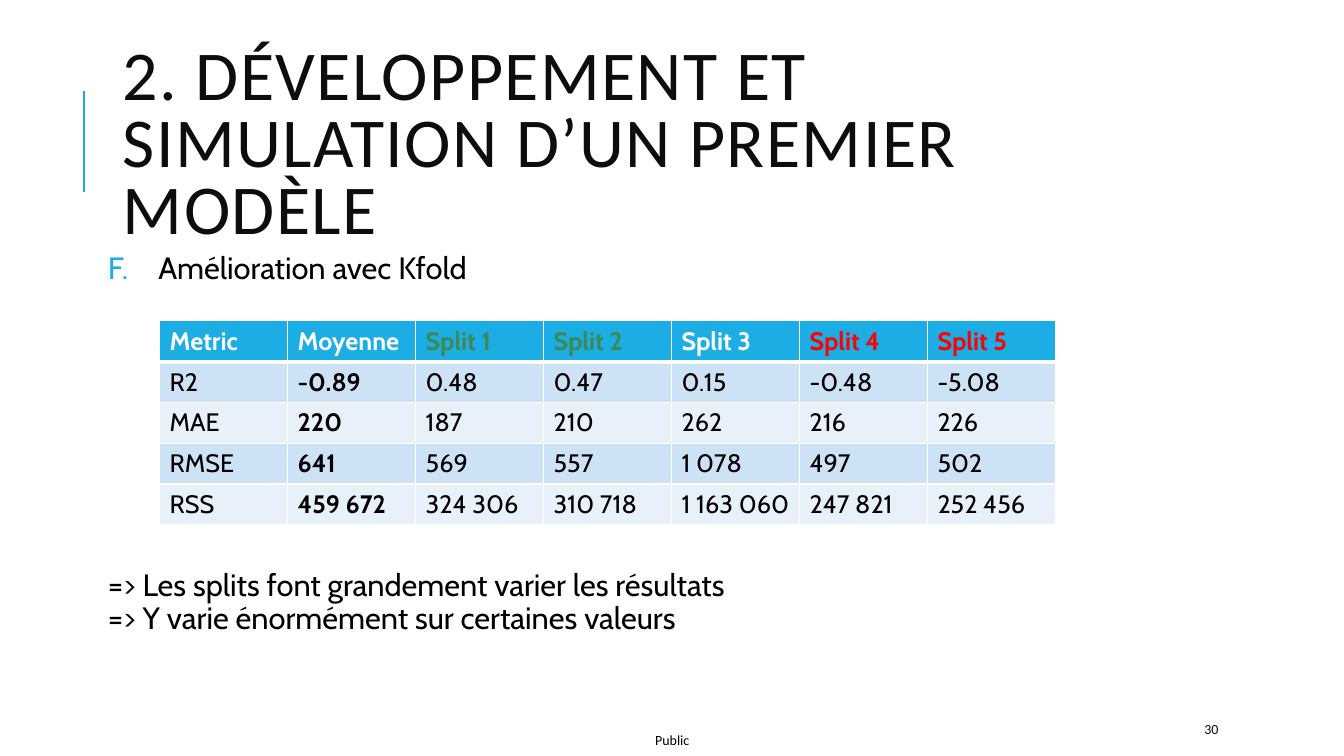
from dataclasses import dataclass

from lxml import etree
from pptx import Presentation
from pptx.dml.color import RGBColor
from pptx.enum.shapes import MSO_CONNECTOR
from pptx.enum.text import MSO_ANCHOR
from pptx.oxml.ns import qn
from pptx.util import Inches, Pt

STRAIGHT = MSO_CONNECTOR.STRAIGHT
TOP, MIDDLE = MSO_ANCHOR.TOP, MSO_ANCHOR.MIDDLE

SLIDE_WIDTH, SLIDE_HEIGHT = Inches(13.33), Inches(7.5)
GRID_COLUMNS, GRID_ROWS = 160, 90

COLORS = {
    "accent": "1CADE4",
    "ink": "0D0D0D",
    "black": "000000",
    "white": "FFFFFF",
    "good": "3E8853",
    "bad": "FF0000",
    "band_dark": "CDE3F5",
    "band_light": "E8F1FA",
}

HEADERS = [
    ("Metric", "white"), ("Moyenne", "white"), ("Split 1", "good"),
    ("Split 2", "good"), ("Split 3", "white"), ("Split 4", "bad"),
    ("Split 5", "bad"),
]
METRICS = [
    ["R2", "-0.89", "0.48", "0.47", "0.15", "-0.48", "-5.08"],
    ["MAE", "220", "187", "210", "262", "216", "226"],
    ["RMSE", "641", "569", "557", "1 078", "497", "502"],
    ["RSS", "459 672", "324 306", "310 718", "1 163 060", "247 821", "252 456"],
]
MEAN_COLUMN = 1
TABLE_LEFT, TABLE_TOP = 19, 38.2
CELL_COLUMNS, CELL_ROWS = 15.24, 4.86


@dataclass
class TextBlock:
    """Text placed by grid column and row."""
    text: str
    column: float
    row: float
    columns: float
    rows: float
    size: float
    font: str = "Calibri"
    color: str = "black"
    side_inset: float = 0.1
    end_inset: float = 0.05
    line_spacing: float = 1.0
    letter_spacing: int = 0
    anchor: MSO_ANCHOR = TOP
    wrap: bool = True
    lettered_from: int = 0


BODY = {"column": 12.24, "columns": 127.56, "size": 22, "font": "Cabin",
        "side_inset": 0.05, "line_spacing": 0.9}
TEXT_BLOCKS = [
    TextBlock("Public", 78, 87.12, 4.44, 2.04, 10, side_inset=0, end_inset=0,
              wrap=False),
    TextBlock("2. DÉVELOPPEMENT ET SIMULATION D’UN PREMIER MODÈLE",
              13.44, 7.68, 127.56, 19.68, 50, color="ink", line_spacing=0.8,
              letter_spacing=100, anchor=MIDDLE),
    TextBlock("Amélioration avec Kfold", row=29.52, rows=5, lettered_from=6, **BODY),
    TextBlock("=> Les splits font grandement varier les résultats\v"
              "=> Y varie énormément sur certaines valeurs",
              row=67.2, rows=10, **BODY),
    TextBlock("30", 142.2, 84.96, 12.72, 3.6, 10, color="ink", anchor=MIDDLE),
]


def across(columns: float) -> int:
    return round(SLIDE_WIDTH * columns / GRID_COLUMNS)


def down(rows: float) -> int:
    return round(SLIDE_HEIGHT * rows / GRID_ROWS)


def rgb(name: str) -> RGBColor:
    return RGBColor.from_string(COLORS[name])


def format_runs(paragraph, font: str, size: float, color: str, bold: bool = False) -> None:
    for run in paragraph.runs:
        run.font.name = font
        run.font.size = Pt(size)
        run.font.bold = bold
        run.font.color.rgb = rgb(color)


def add_letter_bullet(paragraph, start: int) -> None:
    properties = paragraph._p.get_or_add_pPr()
    properties.set("marL", str(Inches(0.5)))
    properties.set("indent", str(-Inches(0.5)))
    bullet_color = etree.SubElement(properties, qn("a:buClr"))
    etree.SubElement(bullet_color, qn("a:srgbClr"), val=COLORS["accent"])
    etree.SubElement(properties, qn("a:buFont"), typeface="+mj-lt")
    etree.SubElement(properties, qn("a:buAutoNum"), type="alphaUcPeriod",
                     startAt=str(start))


def add_text_block(slide, block: TextBlock) -> None:
    shape = slide.shapes.add_textbox(across(block.column), down(block.row),
                                     across(block.columns), down(block.rows))
    text_frame = shape.text_frame
    text_frame.word_wrap = block.wrap
    text_frame.vertical_anchor = block.anchor
    text_frame.margin_left = text_frame.margin_right = Inches(block.side_inset)
    text_frame.margin_top = text_frame.margin_bottom = Inches(block.end_inset)
    paragraph = text_frame.paragraphs[0]
    paragraph.text = block.text
    paragraph.line_spacing = block.line_spacing
    format_runs(paragraph, block.font, block.size, block.color)
    if block.letter_spacing:
        for run in paragraph.runs:
            run.font._element.set("spc", str(block.letter_spacing))
    if block.lettered_from:
        add_letter_bullet(paragraph, block.lettered_from)


def add_title_rule(slide) -> None:
    rule = slide.shapes.add_connector(STRAIGHT, across(10), down(22.8),
                                      across(10), down(10.8))
    rule.line.color.rgb = rgb("accent")
    rule.line.width = Pt(1.5)
    etree.SubElement(rule._element.spPr, qn("a:effectLst"))


def add_borders(cell, top: float, bottom: float) -> None:
    properties = cell._tc.get_or_add_tcPr()
    for side, width in {"L": 1, "R": 1, "T": top, "B": bottom}.items():
        line = etree.SubElement(properties, qn(f"a:ln{side}"), w=str(Pt(width)))
        fill = etree.SubElement(line, qn("a:solidFill"))
        etree.SubElement(fill, qn("a:srgbClr"), val=COLORS["white"])


def fill_cell(cell, text: str, color: str, fill: str, bold: bool,
              top: float, bottom: float) -> None:
    add_borders(cell, top, bottom)
    cell.fill.solid()
    cell.fill.fore_color.rgb = rgb(fill)
    cell.text_frame.text = text
    format_runs(cell.text_frame.paragraphs[0], "Cabin", 18, color, bold)


def add_metrics_table(slide) -> None:
    row_count, column_count = len(METRICS) + 1, len(HEADERS)
    frame = slide.shapes.add_table(
        row_count, column_count, across(TABLE_LEFT), down(TABLE_TOP),
        across(CELL_COLUMNS * column_count), down(CELL_ROWS * row_count))
    table = frame.table
    table.first_row = table.horz_banding = False
    for column in table.columns:
        column.width = across(CELL_COLUMNS)
    for row in table.rows:
        row.height = down(CELL_ROWS)
    for index, (header, color) in enumerate(HEADERS):
        fill_cell(table.cell(0, index), header, color, "accent", True, 1, 3)
    for row_index, values in enumerate(METRICS, start=1):
        band = "band_dark" if row_index % 2 else "band_light"
        top = 3 if row_index == 1 else 1
        for index, value in enumerate(values):
            fill_cell(table.cell(row_index, index), value, "black", band,
                      index == MEAN_COLUMN, top, 1)


def main() -> None:
    presentation = Presentation()
    presentation.slide_width = SLIDE_WIDTH
    presentation.slide_height = SLIDE_HEIGHT
    slide = presentation.slides.add_slide(presentation.slide_layouts[6])
    add_title_rule(slide)
    for block in TEXT_BLOCKS:
        add_text_block(slide, block)
    add_metrics_table(slide)
    presentation.save("out.pptx")


if __name__ == "__main__":
    main()
